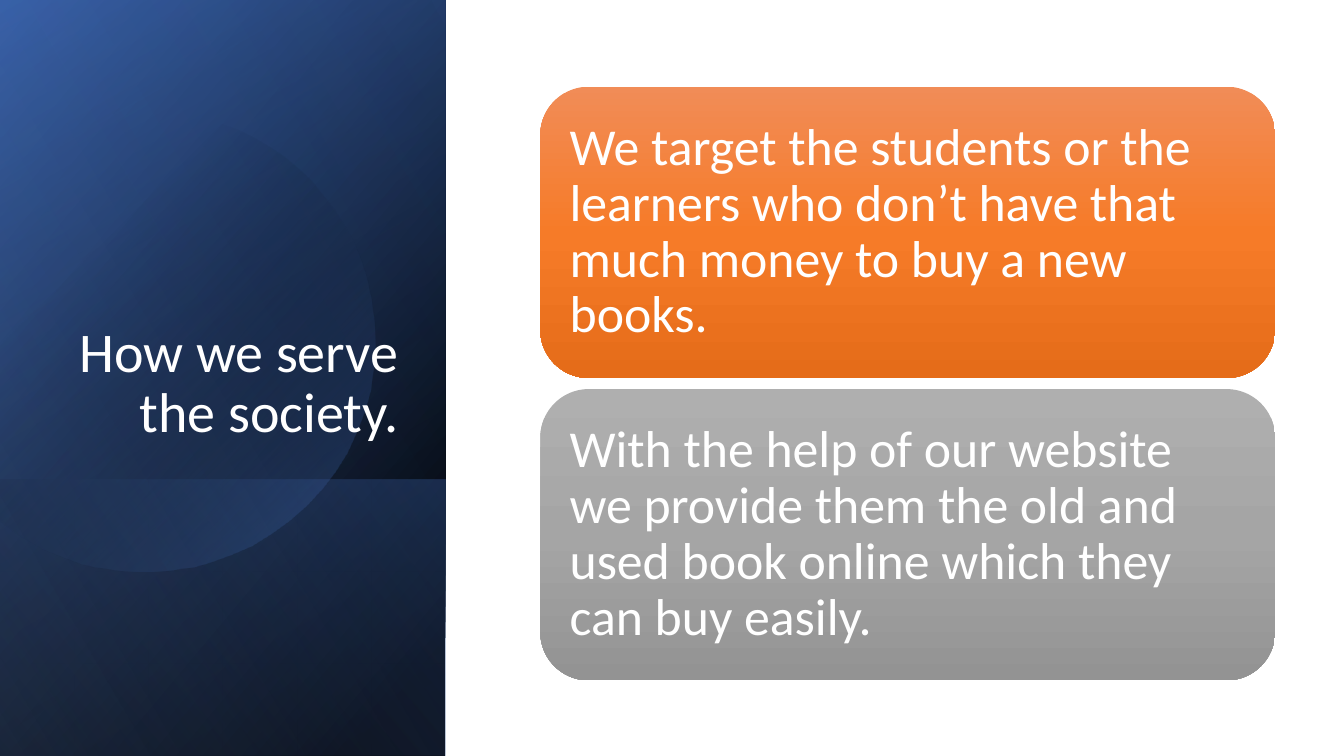
"""Build the slide on how the book service helps society."""
from lxml import etree
from pptx import Presentation
from pptx.dml.color import RGBColor
from pptx.enum.shapes import MSO_SHAPE as SHAPE
from pptx.enum.text import MSO_ANCHOR as ANCHOR, PP_ALIGN as ALIGN
from pptx.oxml.ns import qn

PX = 9144
FONT = "Calibri"
WHITE = "FFFFFF"
TITLE = "How we serve the society."
CARDS = [
    ("We target the students or the learners who don’t have that much money to buy a new books.",
     ["F18C57", "F67B28", "E56C19"]),
    ("With the help of our website we provide them the old and used book online which they can buy easily.",
     ["AFAFAF", "A5A5A5", "939393"]),
]
PANEL = (-154, 154, 750, 442)
FOOT = (84, 392, 274, 442)
BACK_PANELS = [
    (PANEL, [(8, "000000", 100), (100, "2F5597", 100)], 50),
    (PANEL, [(0, "000000", 0), (99, "4472C4", 46)], 30),
    (FOOT, [(2, "4472C4", 29), (100, "000000", 30)], 130),
]
GLOW = (PANEL, [(0, "000000", 0), (99, "8FAADC", 11)], 120)
DISC_STOPS = [(29, "000000", 0), (100, "4472C4", 43)]
DISC_START = (149, 110)
DISC_CURVES = [
    [(246, 112), (335, 177), (363, 275)],
    [(398, 397), (328, 523), (207, 558)],
    [(131, 580), (53, 561), (-3, 514)],
    [(-15, 503)],
    [(-15, 175)],
    [(0, 161)],
    [(23, 142), (50, 128), (80, 119)],
    [(103, 113), (126, 110), (149, 110)],
]
CARD_LEFT, CARD_TOP, CARD_W, CARD_H, CARD_STEP = 536, 86, 729, 289, 300
STEPS = 16


def rgb(value):
    """Turn a hex string into a colour."""
    return RGBColor.from_string(value)


def paint(sp, stops, angle):
    """Give a shape a linear gradient and no line or shadow."""
    sp.shadow.inherit = False
    sp.line.fill.background()
    sp.fill.gradient()
    grad = sp._element.spPr.find(qn("a:gradFill"))
    for child in list(grad):
        grad.remove(child)
    grad.set("rotWithShape", "1")
    gs_list = etree.SubElement(grad, qn("a:gsLst"))
    for pos, color, opacity in stops:
        gs = etree.SubElement(gs_list, qn("a:gs"), pos=str(pos * 1000))
        clr = etree.SubElement(gs, qn("a:srgbClr"), val=color)
        if opacity < 100:
            etree.SubElement(clr, qn("a:alpha"), val=str(opacity * 1000))
    etree.SubElement(grad, qn("a:lin"), ang=str(angle * 60000), scaled="0")


def add_panel(shapes, box, stops, angle):
    """Add a mirrored rectangle standing on its side."""
    sp = shapes.add_shape(SHAPE.RECTANGLE, *[v * PX for v in box])
    sp.rotation = 90
    sp._element.spPr.find(qn("a:xfrm")).set("flipH", "1")
    paint(sp, stops, angle)


def trace(start, curves):
    """Return points along a run of straight lines and cubic curves."""
    points = []
    for curve in curves:
        if len(curve) == 3:
            for i in range(1, STEPS + 1):
                t = i / STEPS
                weights = ((1 - t) ** 3, 3 * t * (1 - t) ** 2, 3 * t * t * (1 - t), t ** 3)
                points.append(tuple(sum(w * q[k] for w, q in zip(weights, [start, *curve]))
                                    for k in (0, 1)))
        else:
            points.append(curve[0])
        start = curve[-1]
    return points


def write(sp, text, size, align, anchor, inset=None):
    """Set and format the text of a shape."""
    tf = sp.text_frame
    tf.word_wrap = True
    tf.vertical_anchor = anchor
    if inset is not None:
        tf.margin_left = tf.margin_right = tf.margin_top = tf.margin_bottom = inset * PX
    tf.text = text
    p = tf.paragraphs[0]
    p.alignment = align
    p.line_spacing = 0.9
    font = p.runs[0].font
    font.name = FONT
    font.size = size * 12700
    font.color.rgb = rgb(WHITE)


def main():
    """Draw the slide and save it."""
    prs = Presentation()
    prs.slide_width, prs.slide_height = 12192000, 750 * PX
    shapes = prs.slides.add_slide(prs.slide_layouts[6]).shapes

    for panel in BACK_PANELS:
        add_panel(shapes, *panel)
    builder = shapes.build_freeform(*DISC_START, scale=PX)
    builder.add_line_segments(trace(DISC_START, DISC_CURVES), close=True)
    paint(builder.convert_to_shape(), DISC_STOPS, 45)
    add_panel(shapes, *GLOW)

    title = shapes.add_textbox(*[v * PX for v in (64, 184, 341, 262)])
    write(title, TITLE, 40, ALIGN.RIGHT, ANCHOR.BOTTOM)

    for i, (text, colors) in enumerate(CARDS):
        box = (CARD_LEFT, CARD_TOP + i * CARD_STEP, CARD_W, CARD_H)
        card = shapes.add_shape(SHAPE.ROUNDED_RECTANGLE, *[v * PX for v in box])
        paint(card, [(k * 50, c, 100) for k, c in enumerate(colors)], 90)
        write(card, text, 37, ALIGN.LEFT, ANCHOR.MIDDLE, 15)

    prs.save("out.pptx")


if __name__ == "__main__":
    main()
